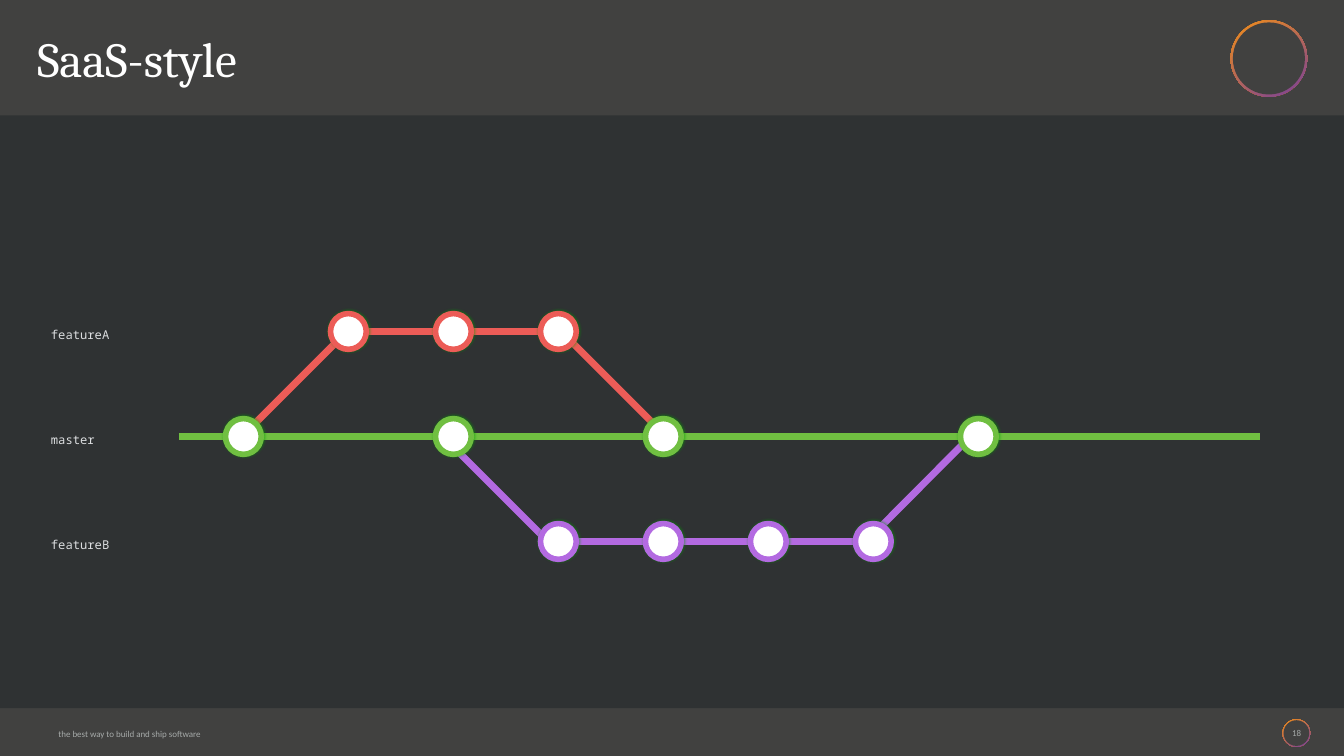
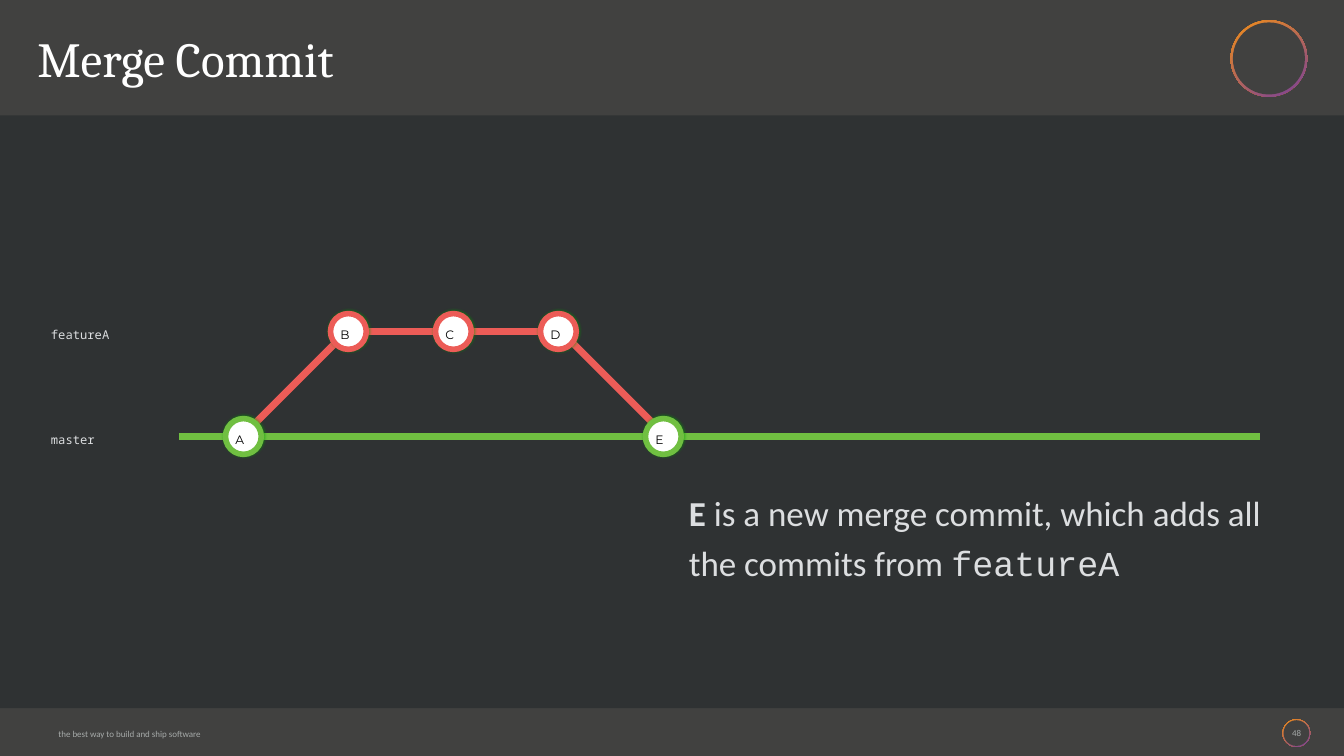
from lxml import etree
from pptx import Presentation, util as u
from pptx.dml.color import RGBColor
from pptx.enum import shapes, text
from pptx.oxml.ns import qn

CHARCOAL = RGBColor(0x41, 0x41, 0x40)
SLATE = RGBColor(0x2F, 0x32, 0x33)
ORANGE = RGBColor(0xF3, 0x8F, 0x18)
PLUM = RGBColor(0x77, 0x3F, 0x9B)
WHITE = RGBColor(0xFF, 0xFF, 0xFF)
BLACK = RGBColor(0x00, 0x00, 0x00)
MIST = RGBColor(0xDC, 0xDE, 0xE0)
ASH = RGBColor(0xA6, 0xAA, 0xA9)
RED = RGBColor(0xEC, 0x5C, 0x57)
GREEN = RGBColor(0x70, 0xBF, 0x41)
PURPLE = RGBColor(0xB3, 0x6A, 0xE1)
GLOW = RGBColor(0x00, 0x9E, 0x00)

STEP = 6.25 / 3
FIRST_COLUMN = 4.83
MASTER_Y = 8.66
FEATURE_A_Y = MASTER_Y - STEP
FEATURE_B_Y = MASTER_Y + STEP
NODE = 0.71
INSET = 0.06


def column(index):
    return FIRST_COLUMN + index * STEP


class Deck:
    def __init__(self):
        self.prs = Presentation()
        self.prs.slide_width = u.Inches(26.67)
        self.prs.slide_height = u.Inches(15)
        backdrop = self.prs.slide_master.background.fill
        backdrop.solid()
        backdrop.fore_color.rgb = CHARCOAL
        self.slide = None

    def start(self, heading, number, number_width):
        self.slide = self.prs.slides.add_slide(self.prs.slide_layouts[5])
        self.ring(25.45, 14.27, 0.55, 0.02)
        self.ring(24.42, 0.4, 1.52, 0.045)
        self.label("the best way to build and ship software",
                   1.1, 14.27, 5.04, 0.5, 22, "Calibri", ASH)
        self.shape(shapes.MSO_SHAPE.RECTANGLE, -0.05, 2.29, 26.77, 11.76, SLATE)
        self.title(heading)
        page = self.label(number, 25.73 - number_width / 2, 14.27,
                          number_width, 0.5, 22, "Calibri", ASH)
        page.vertical_anchor = text.MSO_ANCHOR.TOP
        page.paragraphs[0].alignment = text.PP_ALIGN.CENTER
        page.paragraphs[0].line_spacing = 1.0

    def shape(self, preset, left, top, width, height, colour=None):
        shape = self.slide.shapes.add_shape(
            preset, u.Inches(left), u.Inches(top), u.Inches(width), u.Inches(height))
        shape.shadow.inherit = False
        shape.line.fill.background()
        if colour is not None:
            shape.fill.solid()
            shape.fill.fore_color.rgb = colour
        return shape

    def ring(self, left, top, size, thickness):
        oval = shapes.MSO_SHAPE.OVAL
        rim = self.shape(oval, left, top, size, size)
        rim.fill.gradient()
        rim.fill.gradient_angle = 360 - 57
        for stop, colour, position in zip(rim.fill.gradient_stops, (ORANGE, PLUM), (0, 1)):
            stop.color.rgb = colour
            stop.position = position
        core = size - 2 * thickness
        self.shape(oval, left + thickness, top + thickness, core, core, CHARCOAL)

    def frame(self, holder):
        frame = holder.text_frame
        frame.margin_left = frame.margin_right = u.Inches(INSET)
        frame.margin_top = frame.margin_bottom = u.Inches(INSET)
        frame.vertical_anchor = text.MSO_ANCHOR.TOP
        frame.auto_size = text.MSO_AUTO_SIZE.NONE
        frame.word_wrap = True
        return frame

    def run(self, paragraph, words, size, font, colour, bold=False):
        run = paragraph.add_run()
        run.text = words
        run.font.size = u.Pt(size)
        run.font.name = font
        run.font.bold = bold
        run.font.color.rgb = colour
        return run

    def title(self, words):
        holder = self.slide.shapes.title
        holder.left, holder.top = u.Inches(0.68), u.Inches(0.51)
        holder.width, holder.height = u.Inches(22.97), u.Inches(1.52)
        paragraph = self.frame(holder).paragraphs[0]
        paragraph.alignment = text.PP_ALIGN.LEFT
        self.run(paragraph, words, 70, "Cambria", WHITE)

    def textbox(self, left, top, width, height):
        return self.frame(self.slide.shapes.add_textbox(
            u.Inches(left), u.Inches(top), u.Inches(width), u.Inches(height)))

    def label(self, words, left, top, width, height, size, font, colour, tracking=0):
        frame = self.textbox(left, top, width, height)
        frame.word_wrap = False
        frame.auto_size = text.MSO_AUTO_SIZE.SHAPE_TO_FIT_TEXT
        frame.vertical_anchor = text.MSO_ANCHOR.MIDDLE
        frame.paragraphs[0].line_spacing = 1.1
        run = self.run(frame.paragraphs[0], words, size, font, colour)
        properties = run._r.get_or_add_rPr()
        properties.set("baseline", "7000")
        if tracking:
            properties.set("spc", str(round(tracking * 100)))
        return frame

    def branch_name(self, words, y, width):
        self.label(words, 0.95, y - 0.28, width, 0.56, 30, "Noto Sans Mono", MIST)

    def line(self, start, end, colour):
        line = self.slide.shapes.add_connector(
            shapes.MSO_CONNECTOR.STRAIGHT, *(u.Inches(v) for v in (*start, *end)))
        line.line.color.rgb = colour
        line.line.width = u.Pt(10)
        etree.SubElement(line._element.spPr, qn("a:effectLst"))

    def commit(self, index, y, colour):
        node = self.shape(shapes.MSO_SHAPE.OVAL, column(index) - NODE / 2,
                          y - NODE / 2, NODE, NODE, WHITE)
        node.line.color.rgb = colour
        node.line.width = u.Pt(8)
        effects = node._element.spPr.find(qn("a:effectLst"))
        shadow = etree.SubElement(effects, qn("a:outerShdw"), blurRad=str(u.Pt(4)),
                                  dist=str(u.Pt(1)), dir="0", rotWithShape="0")
        tint = etree.SubElement(shadow, qn("a:srgbClr"), val=str(GLOW))
        etree.SubElement(tint, qn("a:alpha"), val="50000")

    def commit_letter(self, letter, index, y):
        self.label(letter, column(index) - 0.22, y - 0.36, 0.45, 0.72,
                   30, "Montserrat", BLACK, tracking=0.3)

    def feature_a(self):
        self.line((11.25, 6.69), (13.14, 8.58), RED)
        self.line((4.8, MASTER_Y), (6.74, 6.72), RED)
        self.line((6.87, FEATURE_A_Y), (11.13, FEATURE_A_Y), RED)
        self.branch_name("featureA", FEATURE_A_Y, 1.79)
        for index in (1, 2, 3):
            self.commit(index, FEATURE_A_Y, RED)

    def feature_b(self):
        self.line((17.3, 10.63), (19.26, MASTER_Y), PURPLE)
        self.line((8.77, 8.64), (10.77, 10.64), PURPLE)
        self.line((11.1, FEATURE_B_Y), (17.45, FEATURE_B_Y), PURPLE)
        self.branch_name("featureB", FEATURE_B_Y, 1.79)
        for index in (3, 4, 5, 6):
            self.commit(index, FEATURE_B_Y, PURPLE)

    def master(self, commits):
        self.line((3.55, MASTER_Y), (25, MASTER_Y), GREEN)
        self.branch_name("master", MASTER_Y, 1.38)
        for index in commits:
            self.commit(index, MASTER_Y, GREEN)


def saas_style(deck):
    deck.start("SaaS-style", "18", 0.36)
    deck.feature_b()
    deck.feature_a()
    deck.master((0, 2, 4, 7))


def merge_commit(deck):
    deck.start("Merge Commit", "48", 0.43)
    deck.feature_a()
    deck.master((0, 4))
    for index, letter in enumerate("ABCDE"):
        deck.commit_letter(letter, index, MASTER_Y if letter in "AE" else FEATURE_A_Y)
    explanation = deck.textbox(13.61, 9.52, 11.74, 2.81).paragraphs[0]
    explanation.line_spacing = 1.2
    deck.run(explanation, "E ", 50, "Calibri", MIST, bold=True)
    deck.run(explanation, "is a new merge commit, which adds all the commits from ",
             50, "Calibri", MIST)
    deck.run(explanation, "featureA", 50, "Courier New", MIST)


def main():
    deck = Deck()
    saas_style(deck)
    merge_commit(deck)
    deck.prs.save("out.pptx")


if __name__ == "__main__":
    main()
